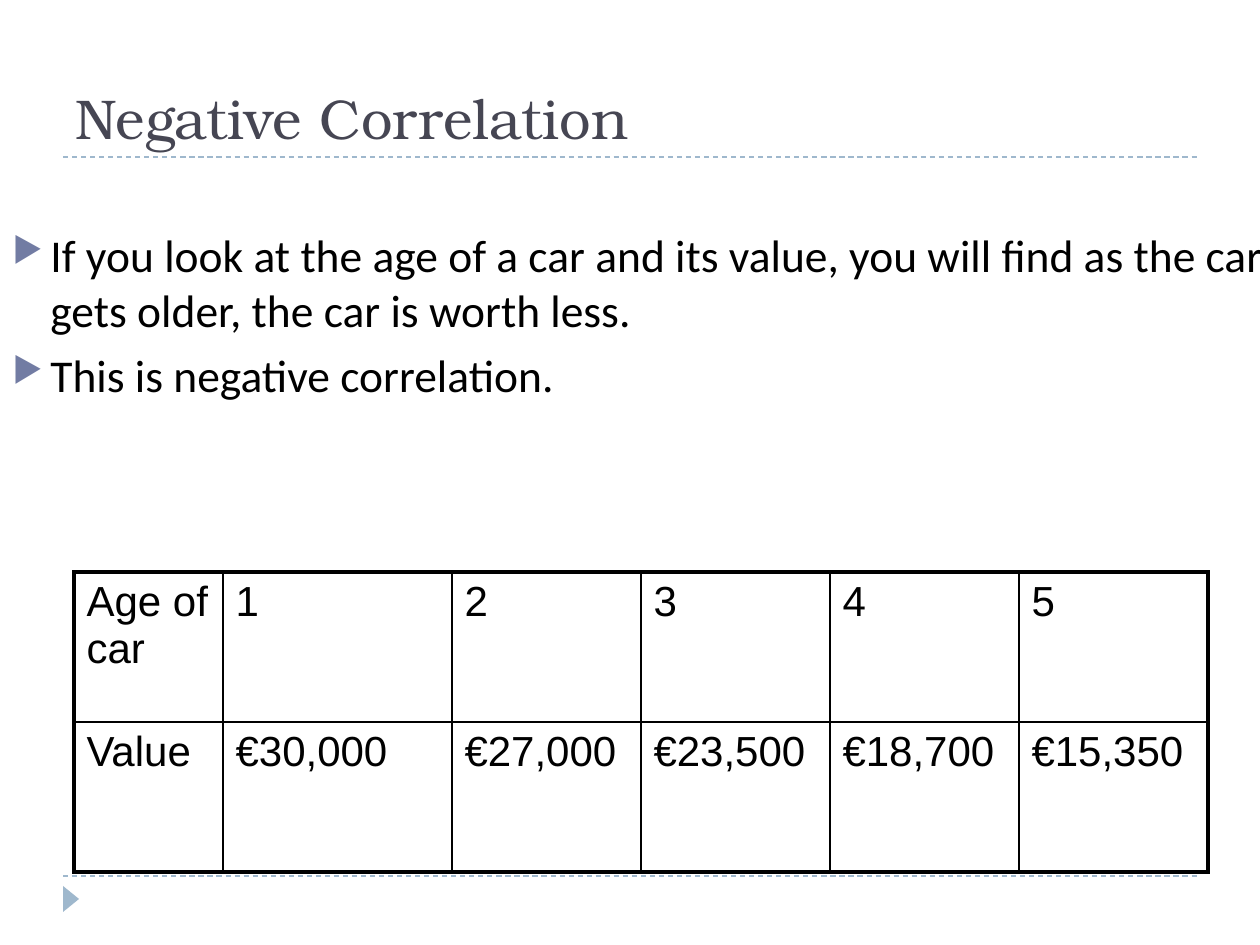
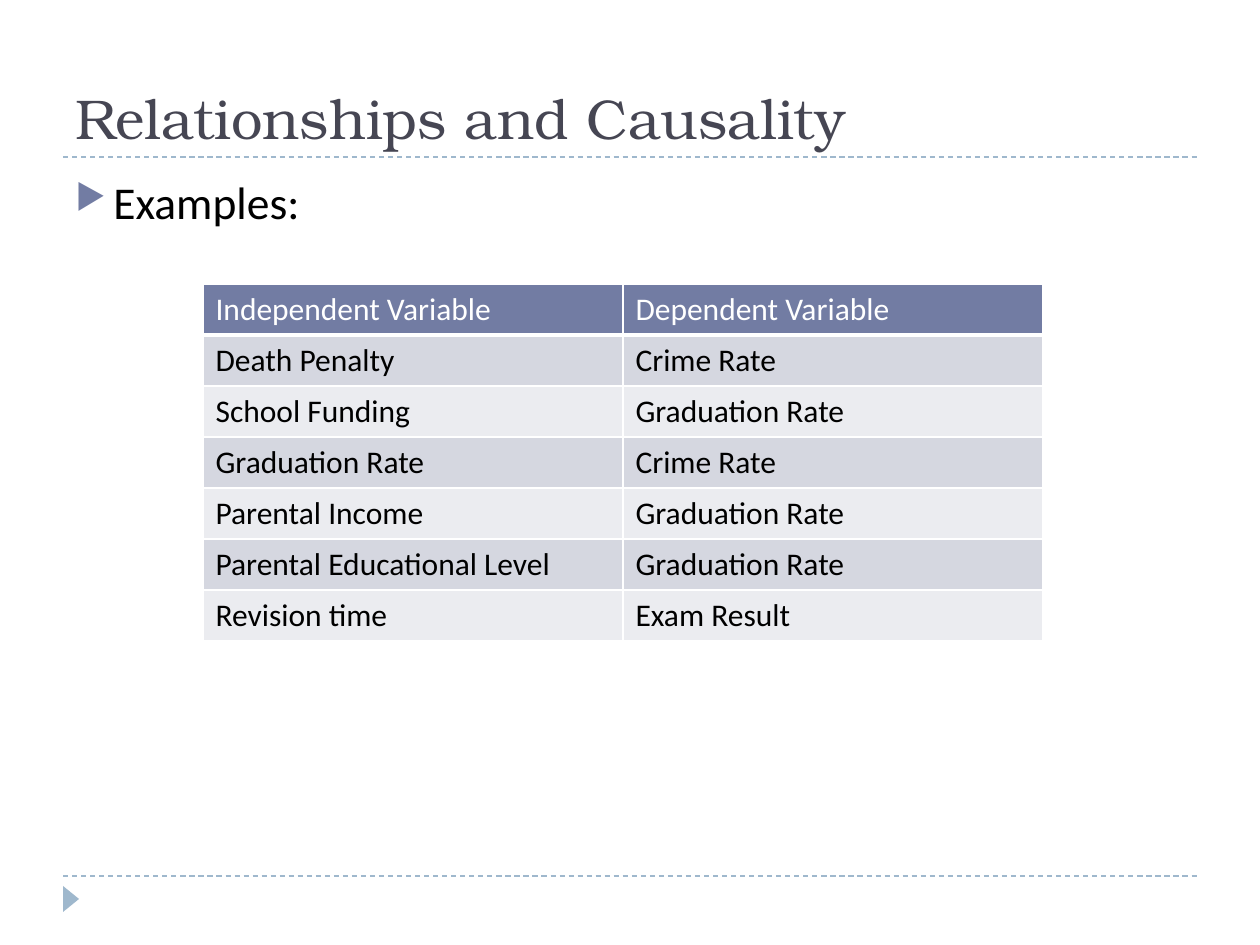
from lxml import etree
from pptx import Presentation
from pptx.dml.color import RGBColor
from pptx.enum.dml import MSO_LINE
from pptx.enum.shapes import MSO_CONNECTOR, MSO_SHAPE
from pptx.enum.text import MSO_ANCHOR
from pptx.oxml.ns import qn
from pptx.util import Pt

EMU_PER_PX = 914400 / 126
STRAIGHT = MSO_CONNECTOR.STRAIGHT
TRIANGLE = MSO_SHAPE.ISOSCELES_TRIANGLE
DASH = MSO_LINE.DASH
TOP, BOTTOM = MSO_ANCHOR.TOP, MSO_ANCHOR.BOTTOM

COLORS = {
    "title": "464653",
    "text": "000000",
    "white": "FFFFFF",
    "accent": "727CA3",
    "rule": "9FB8CD",
    "band_dark": "D5D7E0",
    "band_light": "EBECF0",
}
TITLE_FONT, BODY_FONT, DATA_FONT = "TeX Gyre Bonum", "Calibri", "Arial"

CAR_VALUES = [
    ["Age of car", "1", "2", "3", "4", "5"],
    ["Value", "€30,000", "€27,000", "€23,500", "€18,700", "€15,350"],
]
VARIABLES = [
    ["Independent Variable", "Dependent Variable"],
    ["Death Penalty", "Crime Rate"],
    ["School Funding", "Graduation Rate"],
    ["Graduation Rate", "Crime Rate"],
    ["Parental Income", "Graduation Rate"],
    ["Parental Educational Level", "Graduation Rate"],
    ["Revision time", "Exam Result"],
]


def px(n):
    return round(n * EMU_PER_PX)


def rgb(name):
    return RGBColor.from_string(COLORS[name])


def add_run(p, text, font=BODY_FONT, size=18, color="text"):
    r = p.add_run()
    r.text = text
    r.font.name = font
    r.font.size = Pt(size)
    r.font.color.rgb = rgb(color)


def add_bullet(p):
    """Give a paragraph a hanging arrowhead bullet."""
    pPr = p._p.get_or_add_pPr()
    pPr.set("marL", str(px(38)))
    pPr.set("indent", str(-px(38)))
    clr = etree.SubElement(pPr, qn("a:buClr"))
    etree.SubElement(clr, qn("a:srgbClr"), val=COLORS["accent"])
    etree.SubElement(pPr, qn("a:buSzPct"), val="76000")
    etree.SubElement(pPr, qn("a:buChar"), char="▶")


def add_text(s, paragraphs, x, y, w, h, anchor=TOP, bullets=False, **fmt):
    tf = s.shapes.add_textbox(px(x), px(y), px(w), px(h)).text_frame
    tf.word_wrap = True
    tf.vertical_anchor = anchor
    for i, text in enumerate(paragraphs):
        p = tf.add_paragraph() if i else tf.paragraphs[0]
        if bullets:
            add_bullet(p)
        if i:
            p.space_before = Pt(6)
        add_run(p, text, **fmt)


def add_rule(s, y):
    line = s.shapes.add_connector(STRAIGHT, px(63), px(y), px(1197), px(y))
    line.line.color.rgb = rgb("rule")
    line.line.width = Pt(0.75)
    line.line.dash_style = DASH
    etree.SubElement(line._element.spPr, qn("a:effectLst"))


def add_slide(prs, title):
    """Add a blank slide with the shared rules, corner marker and title."""
    s = prs.slides.add_slide(prs.slide_layouts[6])
    for y in (876, 157):
        add_rule(s, y)
    marker = s.shapes.add_shape(TRIANGLE, px(58), px(891), px(26), px(16))
    marker.rotation = 90
    marker.shadow.inherit = False
    marker.fill.solid()
    marker.fill.fore_color.rgb = rgb("rule")
    marker.line.fill.background()
    add_text(s, [title], 63, 21, 1134, 136, anchor=BOTTOM,
             font=TITLE_FONT, size=32, color="title")
    return s


def add_bullets(s, paragraphs, x, y, w, h):
    add_text(s, paragraphs, x, y, w, h, bullets=True, size=26)


def set_borders(cell, color, widths):
    """Draw the left, right, top and bottom borders, widths in points."""
    tcPr = cell._tc.get_or_add_tcPr()
    for side, width in zip("LRTB", widths):
        ln = etree.SubElement(tcPr, qn(f"a:ln{side}"), w=str(Pt(width)))
        fill = etree.SubElement(ln, qn("a:solidFill"))
        etree.SubElement(fill, qn("a:srgbClr"), val=COLORS[color])


def add_table(s, rows, x, y, col_widths, row_height, border, col_lines,
              row_lines, fills=None, header_color="text", **fmt):
    """Build a table; col_lines and row_lines hold the grid line widths."""
    table = s.shapes.add_table(
        len(rows), len(col_widths), px(x), px(y),
        px(sum(col_widths)), px(row_height * len(rows))).table
    table.first_row = table.horz_banding = False
    for col, width in zip(table.columns, col_widths):
        col.width = px(width)
    for i, values in enumerate(rows):
        table.rows[i].height = px(row_height)
        for j, value in enumerate(values):
            cell = table.cell(i, j)
            set_borders(cell, border, col_lines[j:j + 2] + row_lines[i:i + 2])
            if fills:
                cell.fill.solid()
                cell.fill.fore_color.rgb = rgb(fills[i])
            else:
                cell.fill.background()
            add_run(cell.text_frame.paragraphs[0], value,
                    color="text" if i else header_color, **fmt)


def negative_correlation(prs):
    s = add_slide(prs, "Negative Correlation")
    add_table(s, CAR_VALUES, 74, 572, [149, 229] + [189] * 4, 150, "text",
              col_lines=[2.25] + [1] * 5 + [2.25], row_lines=[2.25, 1, 2.25],
              font=DATA_FONT, size=24)
    add_bullets(s, [
        "If you look at the age of a car and its value, you will find "
        "as the car gets older, the car is worth less.",
        "This is negative correlation.",
    ], 0, 221, 1304, 624)


def relationships_and_causality(prs):
    s = add_slide(prs, "Relationships and Causality")
    add_bullets(s, ["Examples:"], 63, 168, 1134, 680)
    add_table(s, VARIABLES, 203, 284, [420, 420], 51, "white",
              col_lines=[1] * 3, row_lines=[1, 3] + [1] * 6,
              fills=["accent"] + ["band_dark", "band_light"] * 3,
              header_color="white")


def main():
    prs = Presentation()
    prs.slide_width, prs.slide_height = px(1260), px(945)
    negative_correlation(prs)
    relationships_and_causality(prs)
    prs.save("out.pptx")


if __name__ == "__main__":
    main()
